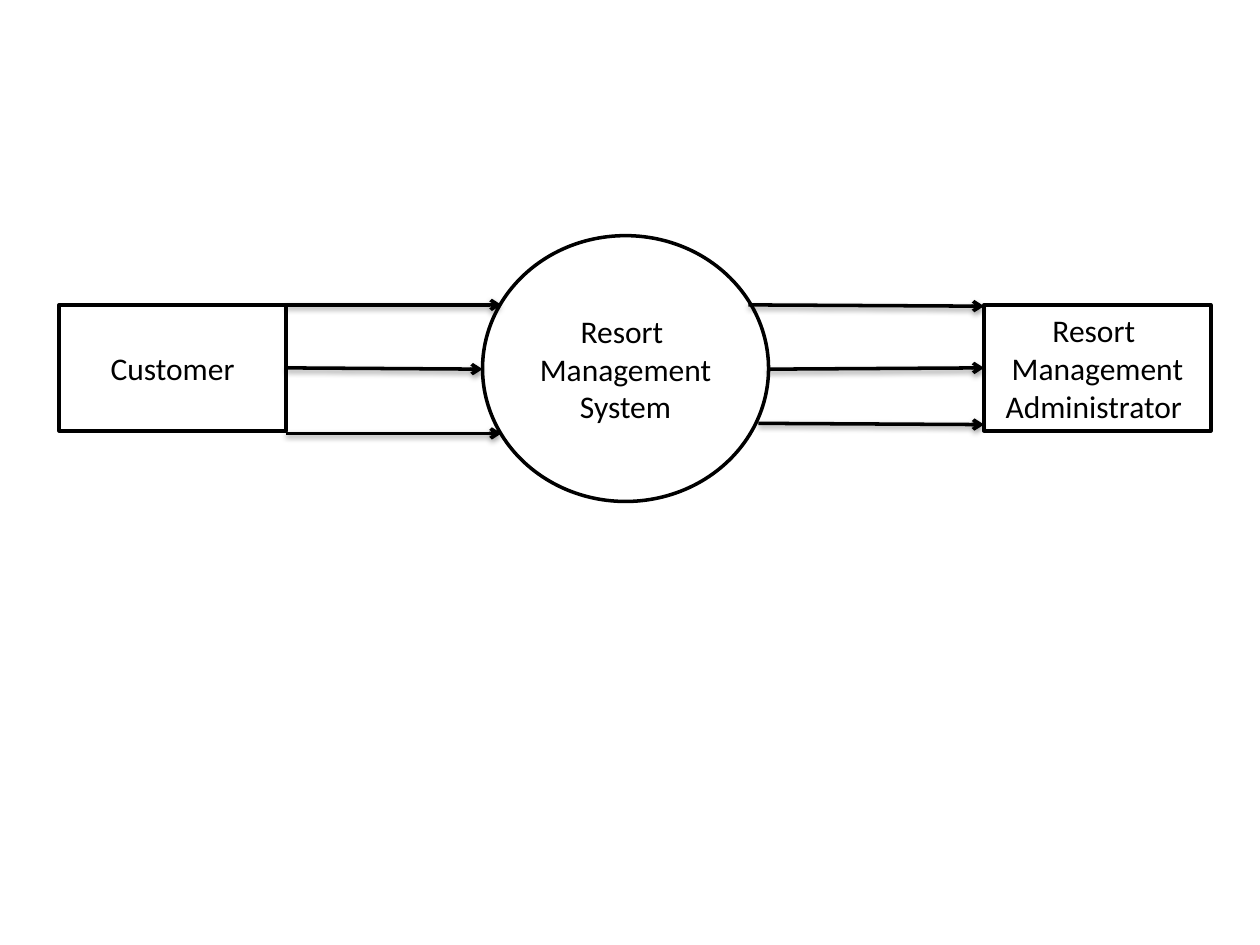
from lxml import etree
from pptx import Presentation
from pptx import util as u
from pptx.dml.color import RGBColor
from pptx.enum import shapes, text
from pptx.oxml import parse_xml
from pptx.oxml.ns import nsdecls, qn

BLACK, WHITE = "000000", "FFFFFF"
SHADOW = f"""<a:effectLst {nsdecls('a')}>
  <a:outerShdw blurRad="40000" dist="20000" dir="5400000" rotWithShape="0">
    <a:srgbClr val="{BLACK}"><a:alpha val="38000"/></a:srgbClr>
  </a:outerShdw>
</a:effectLst>"""


def color(value):
    return RGBColor.from_string(value)


def write(frame, lines, font="Calibri", size=18, ink=BLACK):
    frame.word_wrap = True
    frame.vertical_anchor = text.MSO_ANCHOR.MIDDLE
    for index, line in enumerate(lines):
        para = frame.paragraphs[0] if index == 0 else frame.add_paragraph()
        para.alignment = text.PP_ALIGN.CENTER
        span = para.add_run()
        span.text = line
        span.font.name = font
        span.font.size = u.Pt(size)
        span.font.color.rgb = color(ink)


deck = Presentation()
deck.slide_width, deck.slide_height = u.Inches(10), u.Inches(7.5)
page = deck.slides.add_slide(deck.slide_layouts[6])

RECT, OVAL = shapes.MSO_SHAPE.RECTANGLE, shapes.MSO_SHAPE.OVAL
nodes = []
for kind, place, lines in [
    (RECT, (0.47, 2.42, 1.8, 1), ["Customer"]),
    (RECT, (7.81, 2.42, 1.8, 1), ["Resort ", "Management", "Administrator "]),
    (OVAL, (3.83, 1.87, 2.27, 2.11), ["Resort ", "Management", "System"]),
]:
    box = page.shapes.add_shape(kind, *map(u.Inches, place))
    box.shadow.inherit = False
    box.fill.solid()
    box.fill.fore_color.rgb = color(WHITE)
    box.line.color.rgb = color(BLACK)
    box.line.width = u.Pt(2)
    write(box.text_frame, lines)
    nodes.append(box)
customer, administrator, system = nodes

customer_right, administrator_left = 2.27, 7.81
arrows = []
for start_x, start_y, end_x, end_y in [
    (customer_right, 2.92, 3.83, 2.93),
    (customer_right, 2.42, 3.98, 2.42),
    (6.09, 2.93, administrator_left, 2.9),
    (5.94, 2.42, administrator_left, 2.43),
    (customer_right, 3.44, 3.98, 3.44),
    (6.02, 3.36, administrator_left, 3.37),
]:
    arrow = page.shapes.add_connector(
        shapes.MSO_CONNECTOR.STRAIGHT,
        *map(u.Inches, (start_x, start_y, end_x, end_y)))
    arrow.line.color.rgb = color(BLACK)
    arrow.line.width = u.Pt(2)
    etree.SubElement(arrow.line._get_or_add_ln(), qn("a:tailEnd"), type="arrow")
    arrow._element.spPr.append(parse_xml(SHADOW))
    arrows.append(arrow)

arrows[0].begin_connect(customer, 3)
arrows[2].end_connect(administrator, 1)

deck.save("out.pptx")
